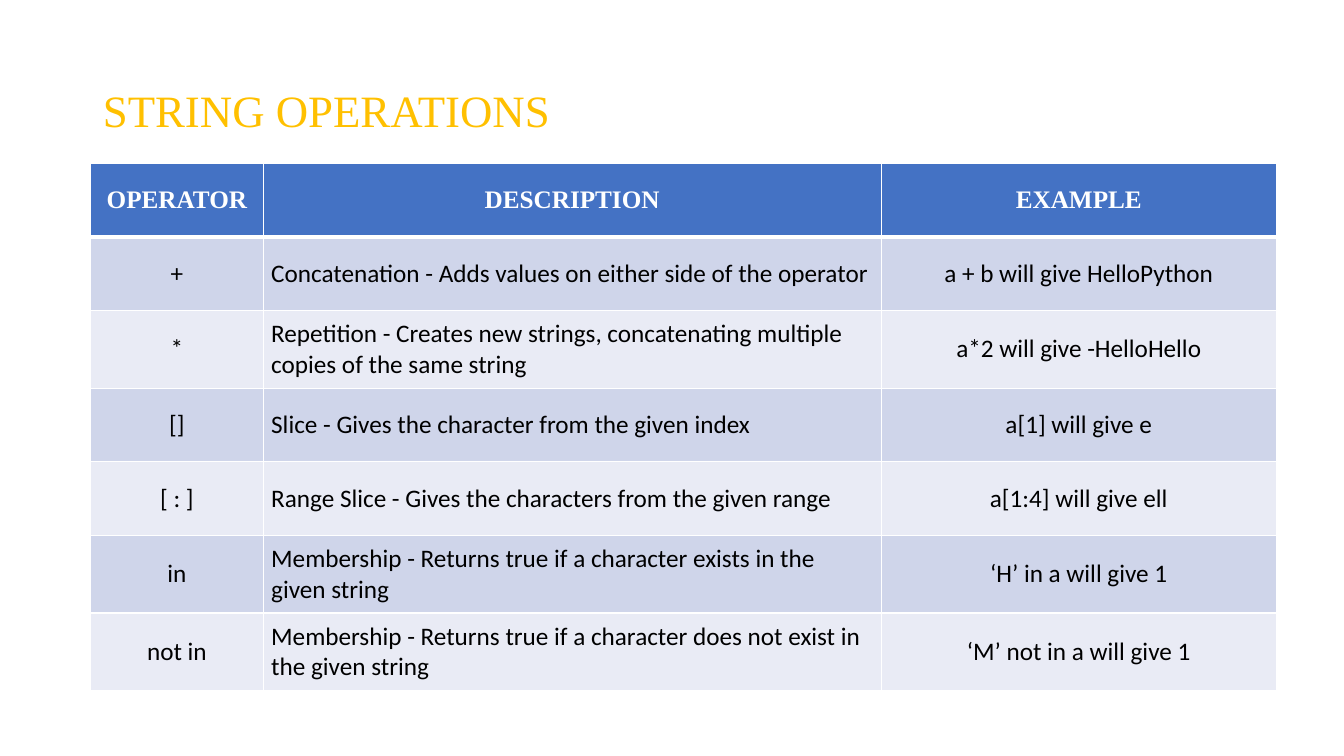
import pptx
import pptx.dml.color
import pptx.enum.text
import pptx.oxml
import pptx.oxml.ns
import pptx.util

Inches = pptx.util.Inches
Pt = pptx.util.Pt
RGBColor = pptx.dml.color.RGBColor
ALIGN = pptx.enum.text.PP_ALIGN
MIDDLE = pptx.enum.text.MSO_ANCHOR.MIDDLE

GOLD = RGBColor(0xFF, 0xC0, 0x00)
BLUE = RGBColor(0x44, 0x72, 0xC4)
BAND = RGBColor(0xCF, 0xD5, 0xEA)
PALE = RGBColor(0xE9, 0xEB, 0xF5)
WHITE = RGBColor(0xFF, 0xFF, 0xFF)
BLACK = RGBColor(0x00, 0x00, 0x00)

SERIF = "Times New Roman"
SANS = "Calibri"

WIDTHS = (1.71, 6.13, 3.92)
HEIGHT = 0.73
ROWS = (
    ("OPERATOR", "DESCRIPTION", "EXAMPLE"),
    ("+", "Concatenation - Adds values on either side of the operator",
     "a + b will give HelloPython"),
    ("*", "Repetition - Creates new strings, concatenating multiple copies of the same string",
     "a*2 will give -HelloHello"),
    ("[]", "Slice - Gives the character from the given index", "a[1] will give e"),
    ("[ : ]", "Range Slice - Gives the characters from the given range",
     "a[1:4] will give ell"),
    ("in", "Membership - Returns true if a character exists in the given string",
     "‘H’ in a will give 1"),
    ("not in", "Membership - Returns true if a character does not exist in the given string",
     "‘M’ not in a will give 1"),
)


def add_run(para, text, face, size, color, bold=False):
    run = para.add_run()
    run.text = text
    run.font.name = face
    run.font.size = Pt(size)
    run.font.bold = bold
    run.font.color.rgb = color


def add_title(slide, text):
    title = slide.shapes.title
    title.left, title.top = Inches(0.92), Inches(0.4)
    title.width, title.height = Inches(11.5), Inches(1.45)
    title.text_frame.vertical_anchor = MIDDLE
    para = title.text_frame.paragraphs[0]
    para.alignment = ALIGN.LEFT
    para.line_spacing = 0.9
    add_run(para, text, SERIF, 32, GOLD)


def set_edges(cell, top, bottom):
    props = cell._tc.get_or_add_tcPr()
    for side, width in (("L", 1), ("R", 1), ("T", top), ("B", bottom)):
        props.append(pptx.oxml.parse_xml(
            f'<a:ln{side} {pptx.oxml.ns.nsdecls("a")} w="{Pt(width)}">'
            f'<a:solidFill><a:srgbClr val="{WHITE}"/></a:solidFill></a:ln{side}>'))


def fill_cell(cell, text, row, col):
    head = row == 0
    # Edges come before the fill in the cell's XML
    set_edges(cell, 3 if row == 1 else 1, 3 if head else 1)
    cell.fill.solid()
    cell.fill.fore_color.rgb = BLUE if head else BAND if row % 2 else PALE
    cell.vertical_anchor = MIDDLE
    if not head:
        cell.margin_left = cell.margin_right = Inches(0.08)
        cell.margin_top = cell.margin_bottom = Inches(0.08)
    para = cell.text_frame.paragraphs[0]
    para.alignment = ALIGN.LEFT if col == 1 and not head else ALIGN.CENTER
    if head:
        add_run(para, text, SERIF, 18, WHITE, True)
    else:
        add_run(para, text, SANS, 18, BLACK)


def add_grid(slide, rows):
    table = slide.shapes.add_table(
        len(rows), len(WIDTHS), Inches(0.9), Inches(1.62),
        Inches(sum(WIDTHS)), Inches(HEIGHT * len(rows))).table
    for col, width in zip(table.columns, WIDTHS):
        col.width = Inches(width)
    for r, texts in enumerate(rows):
        table.rows[r].height = Inches(HEIGHT)
        for c, text in enumerate(texts):
            fill_cell(table.cell(r, c), text, r, c)


def main():
    deck = pptx.Presentation()
    deck.slide_width, deck.slide_height = Inches(13.33), Inches(7.5)
    slide = deck.slides.add_slide(deck.slide_layouts[5])
    # Heading
    add_title(slide, "STRING OPERATIONS")
    # Operator table
    add_grid(slide, ROWS)
    deck.save("out.pptx")


if __name__ == "__main__":
    main()
